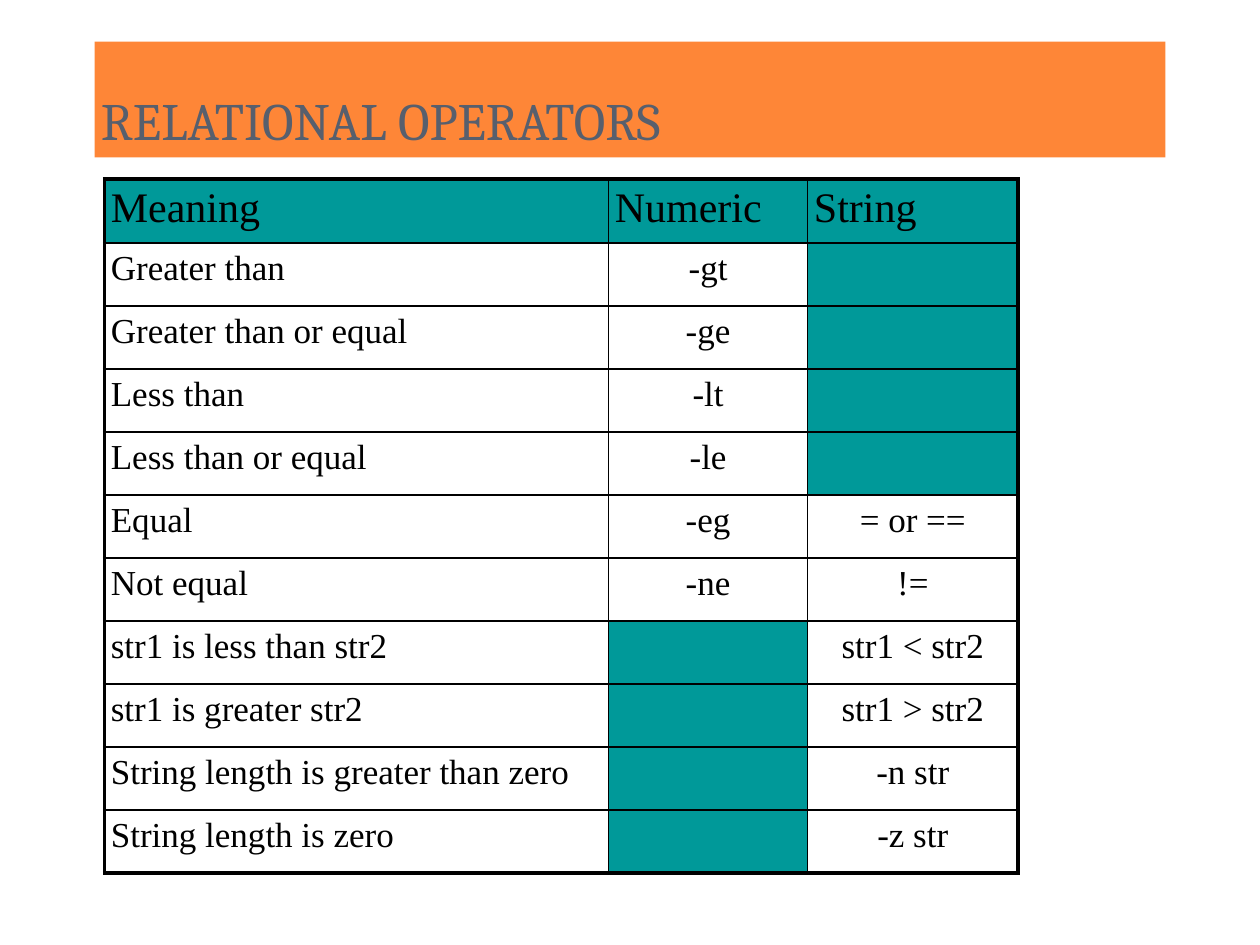
import pptx
import pptx.util
import pptx.dml.color
import pptx.enum.text
import pptx.oxml

Inches, Pt = pptx.util.Inches, pptx.util.Pt
RGB = pptx.dml.color.RGBColor.from_string
ALIGN = pptx.enum.text.PP_ALIGN
NS = "http://schemas.openxmlformats.org/drawingml/2006/main"
COLORS = {"banner": "FE8637", "title": "575F6D", "teal": "009999", "ink": "000000"}
ROWS = [
    ("Meaning", "Numeric", "String"),
    ("Greater than", "-gt", ""),
    ("Greater than or equal", "-ge", ""),
    ("Less than", "-lt", ""),
    ("Less than or equal", "-le", ""),
    ("Equal", "-eg", "= or =="),
    ("Not equal", "-ne", "!="),
    ("str1 is less than str2", "", "str1 < str2"),
    ("str1 is greater str2", "", "str1 > str2"),
    ("String length is greater than zero", "", "-n str"),
    ("String length is zero", "", "-z str"),
]
WIDTHS = [4, 1.58, 1.67]


def style(par, size, font, color, align):
    par.alignment = align
    for run in par.runs:
        run.font.size = Pt(size)
        run.font.name = font
        run.font.color.rgb = RGB(COLORS[color])


def border(cell, side, width):
    cell._tc.get_or_add_tcPr().append(pptx.oxml.parse_xml(
        f'<a:ln{side} xmlns:a="{NS}" w="{Pt(width)}"><a:solidFill>'
        f'<a:srgbClr val="{COLORS["ink"]}"/></a:solidFill></a:ln{side}>'))


deck = pptx.Presentation()
deck.slide_width, deck.slide_height = Inches(10), Inches(7.5)
slide = deck.slides.add_slide(deck.slide_layouts[5])

title = slide.shapes.title
title.left, title.top = Inches(0.75), Inches(0.33)
title.width, title.height = Inches(8.5), Inches(0.92)
title.fill.solid()
title.fill.fore_color.rgb = RGB(COLORS["banner"])
frame = title.text_frame
frame.text = "RELATIONAL OPERATORS"
frame.word_wrap = True
frame.auto_size = pptx.enum.text.MSO_AUTO_SIZE.NONE
frame.vertical_anchor = pptx.enum.text.MSO_ANCHOR.BOTTOM
frame.margin_left = frame.margin_right = Inches(0.05)
frame.margin_top = frame.margin_bottom = Inches(0.05)
style(frame.paragraphs[0], 30, "Cambria", "title", ALIGN.LEFT)

table = slide.shapes.add_table(
    len(ROWS), len(WIDTHS), Inches(0.83), Inches(1.42),
    Inches(sum(WIDTHS)), Inches(5.5)).table
table.first_row = table.horz_banding = False
for col, width in zip(table.columns, WIDTHS):
    col.width = Inches(width)

last_row, last_col = len(ROWS) - 1, len(WIDTHS) - 1
for r, texts in enumerate(ROWS):
    head = r == 0
    table.rows[r].height = Inches(0.51 if head else 0.5)
    for c, text in enumerate(texts):
        cell = table.cell(r, c)
        cell.margin_left = cell.margin_right = Inches(0.05)
        cell.margin_top = cell.margin_bottom = Inches(0.05)
        outer = {"L": c == 0, "R": c == last_col, "T": head, "B": r == last_row}
        for side, edge in outer.items():
            border(cell, side, 2.25 if edge else 1)
        if head or not text:
            cell.fill.solid()
            cell.fill.fore_color.rgb = RGB(COLORS["teal"])
        else:
            cell.fill.background()
        if text:
            cell.text_frame.text = text
            par = cell.text_frame.paragraphs[0]
            par.space_before = Pt(5 if head else 4)
            style(par, 24 if head else 20, "Times New Roman", "ink",
                  ALIGN.LEFT if head or c == 0 else ALIGN.CENTER)

deck.save("out.pptx")
